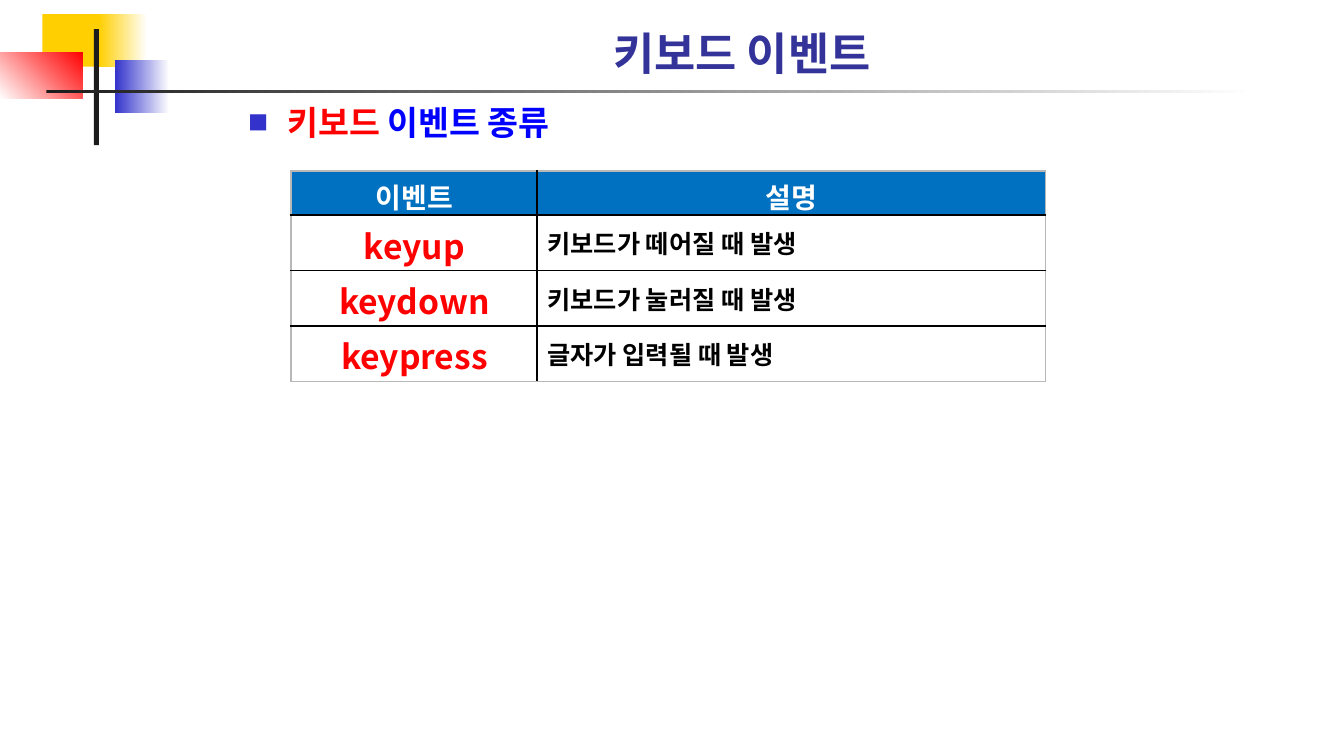
from lxml.etree import SubElement
from pptx import Presentation
from pptx.dml.color import RGBColor
from pptx.enum.shapes import MSO_SHAPE as Shape
from pptx.enum.text import MSO_ANCHOR as Anchor, PP_ALIGN as Align
from pptx.oxml.ns import qn
from pptx.util import Inches, Pt

FONT = "Noto Sans CJK KR"
COLORS = {
    "white": "FFFFFF", "black": "000000", "ink": "1C1C1C", "yellow": "FFCF01",
    "indigo": "3333CC", "red": "FF0000", "blue": "0000FF", "title": "333399",
    "header": "0070C0", "frame": "B8B8B8",
}

TITLE = "키보드 이벤트"
HEADING = [("키보드 ", "red"), ("이벤트 종류", "blue")]
EVENTS = [
    ("이벤트", "설명"),
    ("keyup", "키보드가 떼어질 때 발생"),
    ("keydown", "키보드가 눌러질 때 발생"),
    ("keypress", "글자가 입력될 때 발생"),
]
COLUMN_WIDTHS = (2.44, 5.04)
HEADER_HEIGHT, EVENT_HEIGHT = 0.43, 0.55

# left, top, width, height, colours, angle (counter-clockwise)
ORNAMENTS = [
    (0.42, 0.14, 0.64, 0.52, ("yellow",), 0),
    (0.98, 0.14, 0.48, 0.52, ("yellow", "white"), 0),
    (1.14, 0.6, 0.54, 0.52, ("indigo", "white"), 0),
    (0, 0.52, 0.82, 0.46, ("white", "red"), 45),
    (0.93, 0.29, 0.05, 1.15, ("ink",), 0),
    (0.46, 0.89, 12, 0.03, ("ink", "white"), 0),
]


def rgb(name):
    """Return the named colour."""
    return RGBColor.from_string(COLORS[name])


def style_run(run, size, color):
    """Make a run bold in the slide font, Hangul included."""
    run.font.size, run.font.bold, run.font.name = Pt(size), True, FONT
    run.font.color.rgb = rgb(color)
    SubElement(run.font._element, qn("a:ea"), typeface=FONT)


def add_ornament(slide, left, top, width, height, colors, angle):
    """Add a plain or gradient rectangle."""
    block = slide.shapes.add_shape(
        Shape.RECTANGLE, *map(Inches, (left, top, width, height)))
    block.shadow.inherit = False
    block.line.fill.background()
    if len(colors) == 1:
        block.fill.solid()
        block.fill.fore_color.rgb = rgb(colors[0])
        return
    block.fill.gradient()
    block.fill.gradient_angle = angle
    for stop, position, color in zip(block.fill.gradient_stops, (0, 1), colors):
        stop.position, stop.color.rgb = position, rgb(color)


def add_heading(slide):
    """Add the bulleted heading above the table."""
    heading = slide.shapes.add_textbox(*map(Inches, (2.37, 0.96, 9.09, 0.72)))
    heading.text_frame.word_wrap = True
    line = heading.text_frame.paragraphs[0]
    for words, color in HEADING:
        run = line.add_run()
        run.text = words
        style_run(run, 24, color)
    props = line._p.get_or_add_pPr()
    props.set("marL", str(Inches(0.38)))
    props.set("indent", str(-Inches(0.38)))
    bullet_color = SubElement(props, qn("a:buClr"))
    SubElement(bullet_color, qn("a:srgbClr"), val=COLORS["indigo"])
    SubElement(props, qn("a:buSzPct"), val="60000")
    SubElement(props, qn("a:buFont"), typeface=FONT)
    SubElement(props, qn("a:buChar"), char="■")


def set_borders(cell, row, column):
    """Draw a grey outer frame and black inner rules."""
    last_row, last_column = len(EVENTS) - 1, len(COLUMN_WIDTHS) - 1
    outer = {"L": column == 0, "R": column == last_column,
             "T": row == 0, "B": row == last_row}
    for side, is_outer in outer.items():
        width = Pt(1.5) if is_outer or side in "LR" else Pt(1)
        line = SubElement(cell._tc.get_or_add_tcPr(), qn(f"a:ln{side}"), w=str(width))
        fill = SubElement(line, qn("a:solidFill"))
        SubElement(fill, qn("a:srgbClr"), val=COLORS["frame" if is_outer else "black"])


def add_events(slide):
    """Add the table of keyboard events."""
    heights = [HEADER_HEIGHT] + [EVENT_HEIGHT] * (len(EVENTS) - 1)
    table = slide.shapes.add_table(
        len(EVENTS), len(COLUMN_WIDTHS), Inches(2.89), Inches(1.7),
        Inches(sum(COLUMN_WIDTHS)), Inches(sum(heights))).table
    table.horz_banding = table.first_row = False
    for column, width in zip(table.columns, COLUMN_WIDTHS):
        column.width = Inches(width)
    for r, (texts, height) in enumerate(zip(EVENTS, heights)):
        table.rows[r].height = Inches(height)
        for c, words in enumerate(texts):
            cell = table.cell(r, c)
            set_borders(cell, r, c)
            cell.fill.solid()
            cell.fill.fore_color.rgb = rgb("white" if r else "header")
            cell.vertical_anchor = Anchor.MIDDLE
            cell.text_frame.text = words
            line = cell.text_frame.paragraphs[0]
            line.alignment = Align.LEFT if r and c else Align.CENTER
            size, color = ((24, "red"), (18, "black"))[c] if r else (20, "white")
            style_run(line.runs[0], size, color)


def set_title(slide):
    """Place and format the title."""
    title = slide.shapes.title
    title.left, title.top, title.width, title.height = map(
        Inches, (1.68, 0.23, 11.36, 0.61))
    title.text_frame.text = TITLE
    title.text_frame.vertical_anchor = Anchor.BOTTOM
    line = title.text_frame.paragraphs[0]
    line.alignment = Align.CENTER
    style_run(line.runs[0], 32, "title")


deck = Presentation()
deck.slide_width, deck.slide_height = Inches(13.33), Inches(7.5)
slide = deck.slides.add_slide(deck.slide_layouts[5])
for ornament in ORNAMENTS:
    add_ornament(slide, *ornament)
add_heading(slide)
add_events(slide)
set_title(slide)
deck.save("out.pptx")
